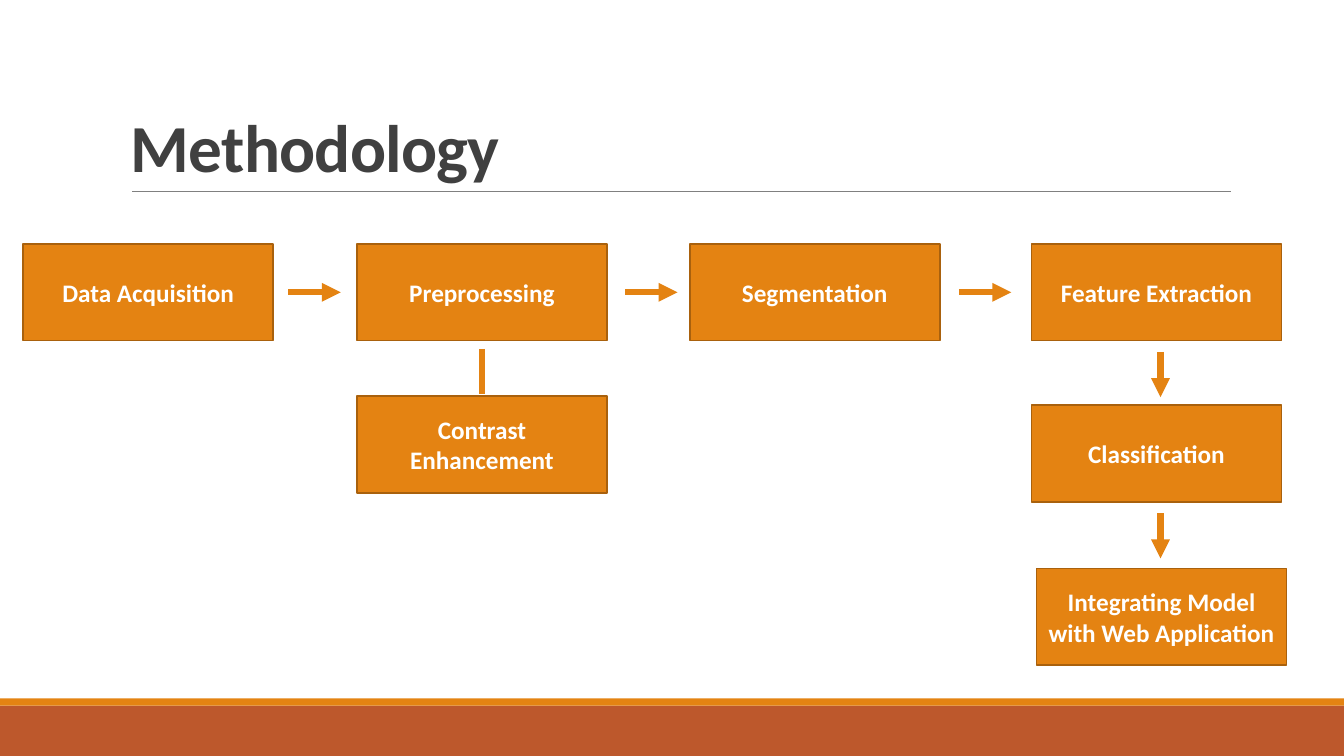
from dataclasses import dataclass

from lxml import etree
from pptx import Presentation
from pptx.dml.color import RGBColor
from pptx.enum import shapes, text
from pptx.oxml import ns
from pptx.util import Inches, Pt


@dataclass(frozen=True)
class Theme:
    """Colours, font and type sizes of the slide."""
    font: str = "Calibri"
    head: int = 48
    body: int = 18
    ink: str = "404040"
    white: str = "FFFFFF"
    main: str = "E48312"
    edge: str = "A9610D"
    base: str = "BD582C"
    rule: str = "808080"


look = Theme()

# Content: label, column, top
TITLE = "Methodology"
TOP = 2.42
COLS = (0.23, 3.54, 6.84, 10.23)
STEPS = [
    ("Data Acquisition", COLS[0], TOP),
    ("Preprocessing", COLS[1], TOP),
    ("Contrast Enhancement", COLS[1], 3.93),
    ("Segmentation", COLS[2], TOP),
    ("Feature Extraction", COLS[3], TOP),
    ("Classification", COLS[3], 4.02),
    ("Integrating Model with Web Application", 10.28, 5.64),
]
BOX_W, BOX_H = 2.48, 0.96

# Links: starts along the row, then x, y and arrowhead of those going down
ACROSS = (2.86, 6.2, 9.51)
DOWN = [(11.51, 3.49, True), (4.78, 3.46, False), (11.51, 5.09, True)]
RUN, DROP = 0.52, 0.45

# Footer bands: top, height, colour
WIDE, HIGH = 13.33, 7.5
BANDS = [(7, 0.5, look.base), (6.93, 0.07, look.main)]


def rgb(code):
    """Turn a hex code into a colour."""
    return RGBColor.from_string(code)


def add_rect(x, y, w, h, fill, edge=None):
    """Draw a flat rectangle, with an outline if an edge colour is given."""
    rect = slide.shapes.add_shape(
        shapes.MSO_SHAPE.RECTANGLE, *map(Inches, (x, y, w, h)))
    rect.shadow.inherit = False
    rect.fill.solid()
    rect.fill.fore_color.rgb = rgb(fill)
    if edge:
        rect.line.color.rgb = rgb(edge)
        rect.line.width = Pt(1.25)
    else:
        rect.line.fill.background()
    return rect


def add_text(shape, words, size, color, align, anchor):
    """Write one bold paragraph into a shape and return it."""
    frame = shape.text_frame
    frame.word_wrap = True
    frame.vertical_anchor = anchor
    frame.text = words
    para = frame.paragraphs[0]
    para.alignment = align
    font = para.runs[0].font
    font.name, font.size, font.bold = look.font, Pt(size), True
    font.color.rgb = rgb(color)
    return para


def add_line(x1, y1, x2, y2, color, width, arrow=False):
    """Draw a straight line, with an arrowhead at its end if asked."""
    line = slide.shapes.add_connector(
        shapes.MSO_CONNECTOR.STRAIGHT, *map(Inches, (x1, y1, x2, y2)))
    line.line.color.rgb = rgb(color)
    line.line.width = Pt(width)
    if arrow:
        etree.SubElement(line.line._get_or_add_ln(),
                         ns.qn("a:tailEnd"), type="triangle")
    etree.SubElement(line._element.spPr, ns.qn("a:effectLst"))


deck = Presentation()
deck.slide_width, deck.slide_height = Inches(WIDE), Inches(HIGH)
slide = deck.slides.add_slide(deck.slide_layouts[6])

for top, high, color in BANDS:
    add_rect(0, top, WIDE, high, color)
add_line(1.31, 1.9, 12.21, 1.9, look.rule, 0.5)

for label, x, y in STEPS:
    box = add_rect(x, y, BOX_W, BOX_H, look.main, look.edge)
    add_text(box, label, look.body, look.white,
             text.PP_ALIGN.CENTER, text.MSO_ANCHOR.MIDDLE)

mid = TOP + BOX_H / 2
for x in ACROSS:
    add_line(x, mid, x + RUN, mid, look.main, 4.5, True)
for x, y, arrow in DOWN:
    add_line(x, y, x, y + DROP, look.main, 4.5, arrow)

head = slide.shapes.add_textbox(*map(Inches, (1.2, 0.31, 11, 1.59)))
para = add_text(head, TITLE, look.head, look.ink,
                text.PP_ALIGN.LEFT, text.MSO_ANCHOR.BOTTOM)
para.line_spacing = 0.85
para.runs[0].font._element.set("spc", "-50")

deck.save("out.pptx")
